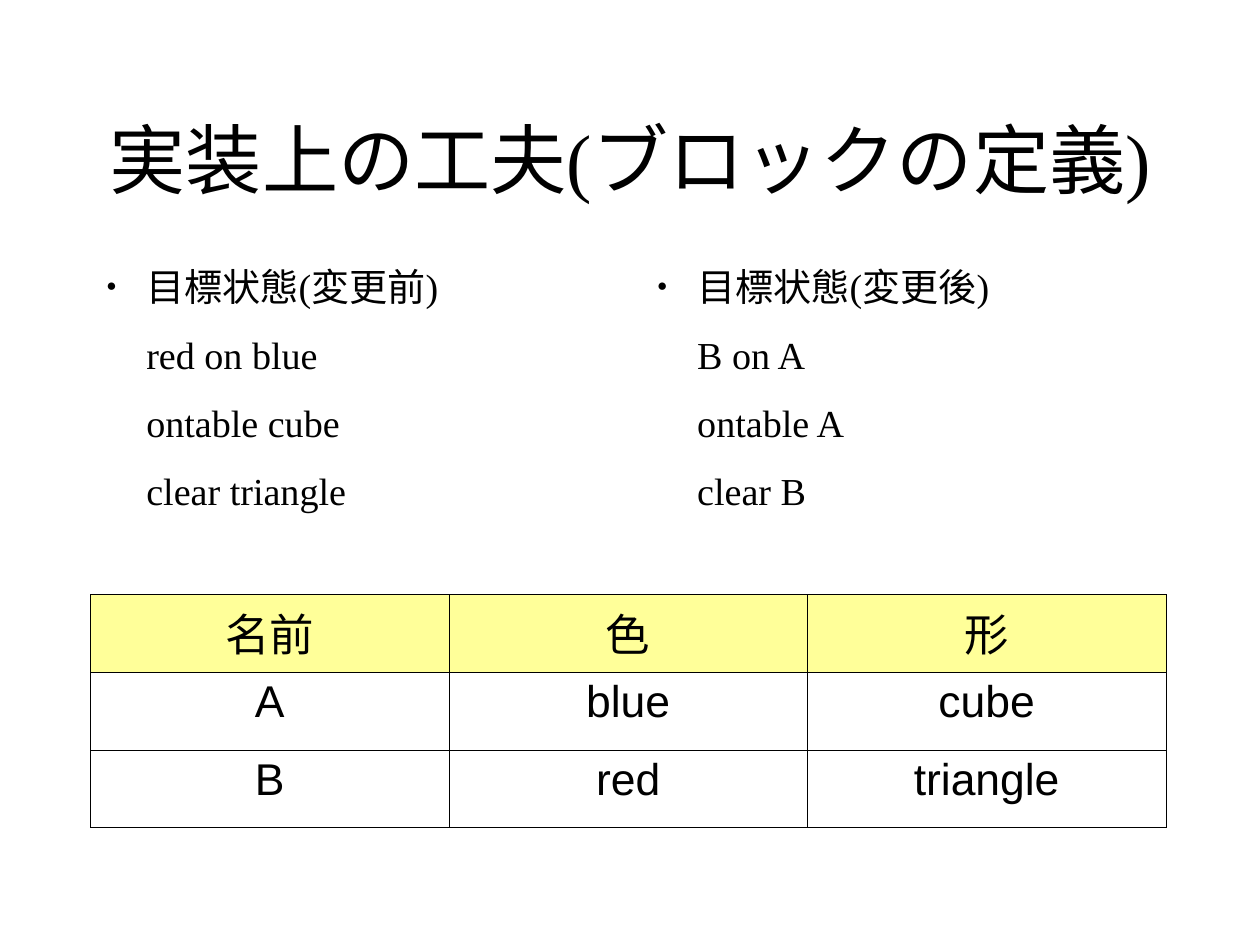
from lxml.etree import SubElement
from pptx import Presentation
from pptx.dml.color import RGBColor
from pptx.enum.text import MSO_ANCHOR as Anchor, MSO_AUTO_SIZE as AutoSize, PP_ALIGN as Align
from pptx.oxml.ns import qn
from pptx.util import Cm, Inches, Pt

BLACK = RGBColor(0x00, 0x00, 0x00)
WHITE = RGBColor(0xFF, 0xFF, 0xFF)
YELLOW = RGBColor(0xFF, 0xFF, 0x99)

MARGIN = 0.81
COLUMN, COLUMN_STEP = 4.59, 4.82
CONTENT = COLUMN + COLUMN_STEP

GOALS = [
    ["目標状態(変更前)", "red on blue", "ontable cube", "clear triangle"],
    ["目標状態(変更後)", "B on A", "ontable A", "clear B"],
]
BLOCKS = [["名前", "色", "形"], ["A", "blue", "cube"], ["B", "red", "triangle"]]


class BlockSlide:
    serif = "Times New Roman"
    sans = "Arial"

    def __init__(self, deck):
        self.slide = deck.slides.add_slide(deck.slide_layouts[3])

    def style(self, para, size, font):
        for span in para.runs:
            span.font.size = Pt(size)
            span.font.name = font
            span.font.bold = False
            span.font.color.rgb = BLACK

    def fill_placeholder(self, index, text, left, top, width, height, anchor):
        box = self.slide.placeholders[index]
        box.left, box.top = Inches(left), Inches(top)
        box.width, box.height = Inches(width), Inches(height)
        frame = box.text_frame
        frame.margin_left = frame.margin_right = frame.margin_top = frame.margin_bottom = 0
        frame.word_wrap = True
        frame.vertical_anchor = anchor
        frame.auto_size = AutoSize.SHAPE_TO_FIT_TEXT
        frame.text = text
        return frame.paragraphs

    def title(self, text):
        for para in self.fill_placeholder(0, text, MARGIN, 0.69, CONTENT, 1.38, Anchor.MIDDLE):
            para.alignment = Align.CENTER
            self.style(para, 48, self.serif)

    def goal_list(self, column, lines):
        """Place a bulleted heading with unbulleted lines below it."""
        left = MARGIN + column * COLUMN_STEP
        paras = self.fill_placeholder(column + 1, "\n".join(lines), left, 2.3, COLUMN, 2.6, Anchor.TOP)
        for number, para in enumerate(paras):
            para.space_before, para.space_after = Pt(0), Pt(14.2)
            self.bullet(para, shown=number == 0)
            self.style(para, 24, self.serif)

    def bullet(self, para, shown):
        props = para._p.get_or_add_pPr()
        props.set("marL", str(Inches(0.47)))
        props.set("indent", str(Inches(-0.35) if shown else 0))
        if not shown:
            SubElement(props, qn("a:buNone"))
            return
        colour = SubElement(props, qn("a:buClr"))
        SubElement(colour, qn("a:srgbClr"), val=str(BLACK))
        SubElement(props, qn("a:buSzPct"), val="45000")
        SubElement(props, qn("a:buChar"), char="●")

    def table(self, rows, left, top, width, row_height):
        frame = self.slide.shapes.add_table(
            len(rows), len(rows[0]), Inches(left), Inches(top),
            Inches(width), Inches(row_height * len(rows)))
        table = frame.table
        table.first_row = table.horz_banding = False
        for row, texts in enumerate(rows):
            for column, text in enumerate(texts):
                cell = table.cell(row, column)
                cell.text = text
                para = cell.text_frame.paragraphs[0]
                para.alignment = Align.CENTER
                self.style(para, 28, self.sans)
                self.border(cell)
                cell.fill.solid()
                cell.fill.fore_color.rgb = WHITE if row else YELLOW

    def border(self, cell):
        props = cell._tc.get_or_add_tcPr()
        for side in ("lnL", "lnR", "lnT", "lnB"):
            line = SubElement(props, qn(f"a:{side}"), w=str(Pt(0.06)))
            fill = SubElement(line, qn("a:solidFill"))
            SubElement(fill, qn("a:srgbClr"), val=str(BLACK))


def main():
    deck = Presentation()
    deck.slide_width, deck.slide_height = Cm(28), Cm(21)
    page = BlockSlide(deck)
    page.title("実装上の工夫(ブロックの定義)")
    for column, lines in enumerate(GOALS):
        page.goal_list(column, lines)
    page.table(BLOCKS, left=0.79, top=5.2, width=CONTENT, row_height=0.68)
    deck.save("out.pptx")


if __name__ == "__main__":
    main()
